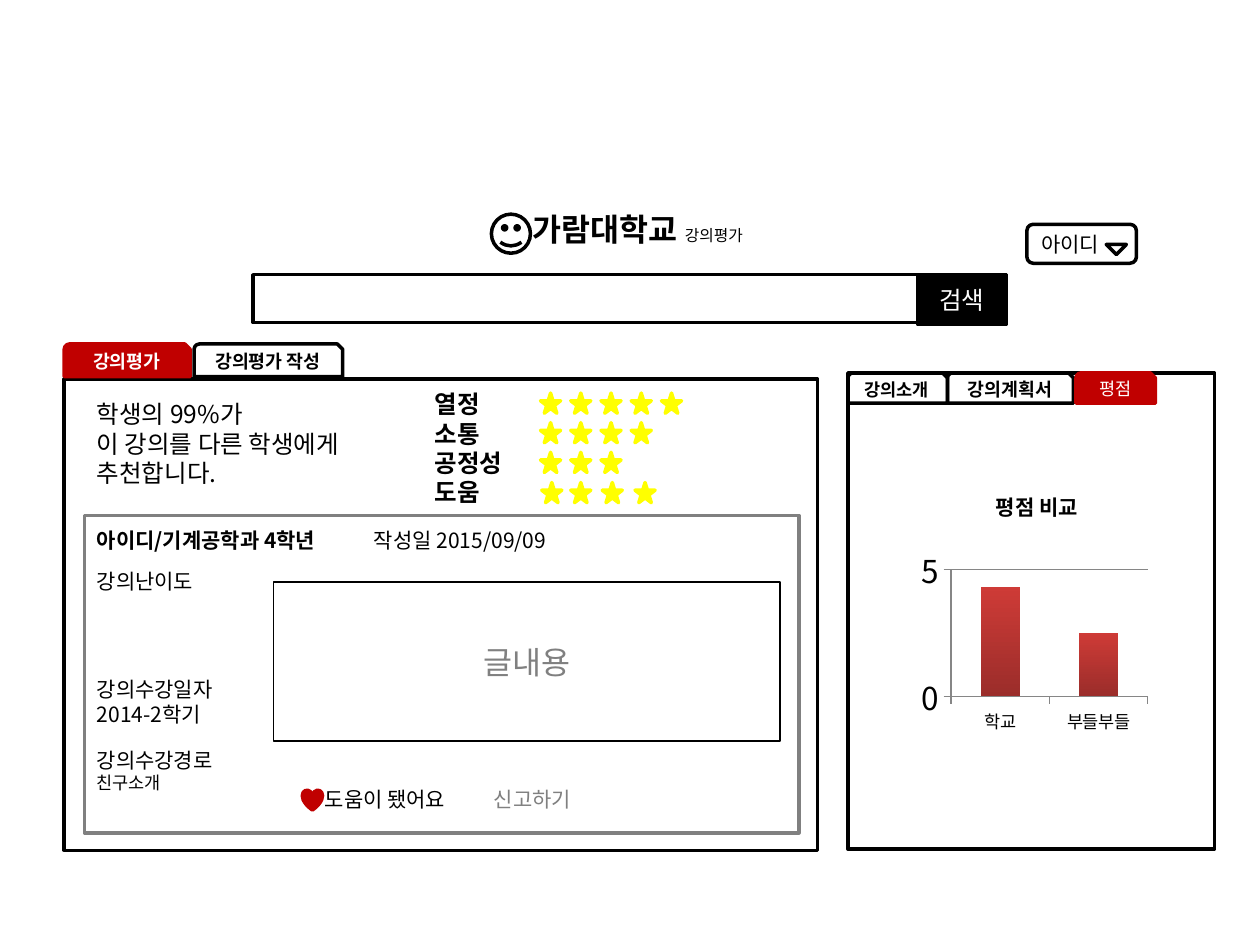
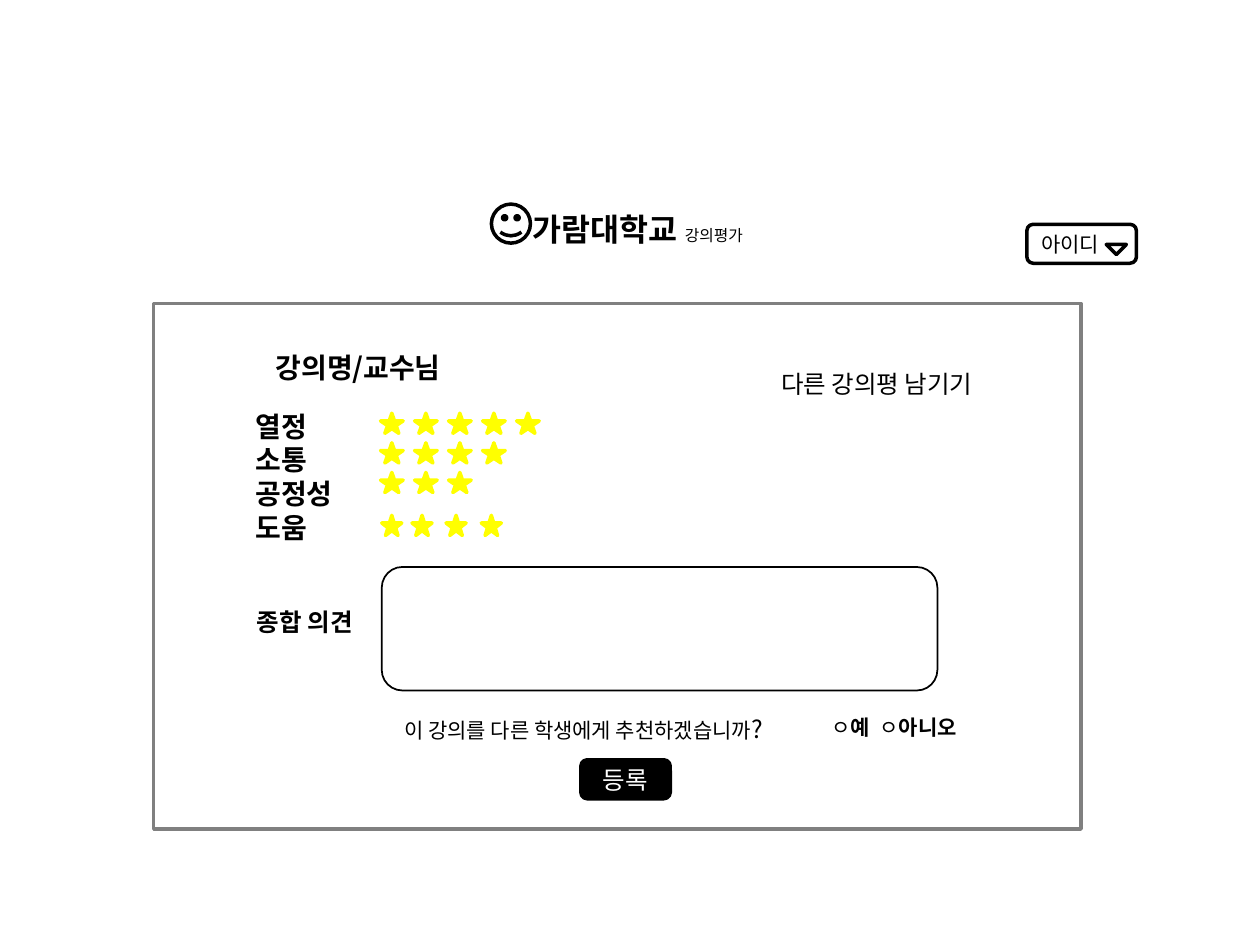
from lxml import etree
from pptx import Presentation
from pptx.chart.data import CategoryChartData
from pptx.dml.color import RGBColor
from pptx.enum.chart import XL_CHART_TYPE, XL_TICK_MARK
from pptx.enum.shapes import MSO_SHAPE
from pptx.enum.text import MSO_ANCHOR, PP_ALIGN
from pptx.oxml.ns import qn
from pptx.util import Inches, Pt

BLACK = RGBColor(0, 0, 0)
WHITE = RGBColor(255, 255, 255)
GREY = RGBColor(0x80, 0x80, 0x80)
RED = RGBColor(0xC0, 0, 0)
YELLOW = RGBColor(255, 255, 0)
AXIS = RGBColor(0x86, 0x86, 0x86)
DARK = RGBColor(0x9B, 0x2D, 0x2A)
LIGHT = RGBColor(0xCE, 0x3B, 0x37)
FONT = "Noto Sans CJK KR"
RECT = MSO_SHAPE.RECTANGLE
ROUND = MSO_SHAPE.ROUNDED_RECTANGLE
TAB = MSO_SHAPE.SNIP_ROUND_RECTANGLE
STAR = MSO_SHAPE.STAR_5_POINT
SMILE = MSO_SHAPE.SMILEY_FACE
HEART = MSO_SHAPE.HEART
ARROW = MSO_SHAPE.FLOWCHART_MERGE
MIDDLE = MSO_ANCHOR.MIDDLE
LEFT, CENTER = PP_ALIGN.LEFT, PP_ALIGN.CENTER
COLUMN = XL_CHART_TYPE.COLUMN_CLUSTERED
OUT = XL_TICK_MARK.OUTSIDE


def draw(slide, kind, at, line=BLACK, fill=None, width=2):
    shape = slide.shapes.add_shape(kind, *map(Inches, at))
    shape.shadow.inherit = False
    shape.line.color.rgb = line
    shape.line.width = Pt(width)
    if fill is None:
        shape.fill.background()
    else:
        shape.fill.solid()
        shape.fill.fore_color.rgb = fill
    return shape


def write(slide, paras, size, color=BLACK, bold=False, at=None, shape=None, align=LEFT):
    if shape is None:
        shape = slide.shapes.add_textbox(*map(Inches, at))
        shape.text_frame.margin_right = 0
    else:
        shape.text_frame.vertical_anchor = MIDDLE
    frame = shape.text_frame
    frame.word_wrap = align == LEFT
    for i, runs in enumerate(paras):
        para = frame.add_paragraph() if i else frame.paragraphs[0]
        para.alignment = align
        if isinstance(runs, str):
            runs = [(runs, size, bold)]
        para.line_spacing = Pt(1.2 * max(run[1] for run in runs))
        for text, points, heavy in runs:
            run = para.add_run()
            run.text = text
            run.font.name = FONT
            run.font.size = Pt(points)
            run.font.bold = heavy
            run.font.color.rgb = color


prs = Presentation()
prs.slide_width, prs.slide_height = Inches(10), Inches(7.5)
home, form = [prs.slides.add_slide(prs.slide_layouts[6]) for _ in range(2)]

for slide, top in ((home, 1.7), (form, 1.62)):
    write(slide, [[("가람대학교 ", 18, True), ("강의평가", 9, False)]], 18,
          at=(4.13, 1.62, 2.06, 0.4))
    write(slide, ["아이디"], 12, shape=draw(slide, ROUND, (8.15, 1.78, 0.87, 0.31)))
    draw(slide, ARROW, (8.78, 1.94, 0.16, 0.08))
    draw(slide, SMILE, (3.9, top, 0.31, 0.31))

draw(home, RECT, (2.01, 2.18, 5.98, 0.38))
button = draw(home, RECT, (7.28, 2.18, 0.71, 0.39), fill=BLACK)
write(home, ["검색"], 14, WHITE, shape=button, align=CENTER)
draw(home, RECT, (6.73, 2.96, 2.91, 3.78))
draw(home, RECT, (0.51, 3.01, 5.98, 3.74))
draw(home, RECT, (0.67, 4.09, 5.67, 2.52), GREY)
note = draw(home, RECT, (2.17, 4.62, 4.02, 1.26), width=1)
write(home, ["글내용"], 18, GREY, shape=note, align=CENTER)

draw(home, TAB, (6.73, 2.96, 0.79, 0.24))
write(home, [" 강의소개"], 10, bold=True, at=(6.73, 2.96, 0.87, 0.27))
for text, at, size, bold, live in (
    ("강의계획서", (7.52, 2.96, 1, 0.24), 10.5, True, False),
    ("평점", (8.54, 2.96, 0.63, 0.24), 10, False, True),
    ("강의평가", (0.51, 2.73, 1, 0.26), 10.5, True, True),
    ("강의평가 작성", (1.54, 2.73, 1.18, 0.26), 10.5, True, False),
):
    tab = draw(home, TAB, at, RED if live else BLACK, RED if live else None)
    write(home, [text], size, WHITE if live else BLACK, bold, shape=tab, align=CENTER)

draw(home, HEART, (2.4, 6.27, 0.16, 0.16), RED, RED)
write(home, ["학생의 99%가 ", "이 강의를 다른 학생에게", "추천합니다."], 14,
      at=(0.67, 3.12, 2.37, 0.81))
write(home, ["아이디/기계공학과 4학년"], 12, bold=True, at=(0.67, 4.14, 2.12, 0.3))
for paras, at, color in (
    (["강의난이도"], (0.67, 4.46, 1.04, 0.3), BLACK),
    (["작성일 2015/09/09"], (2.87, 4.14, 1.64, 0.3), BLACK),
    (["강의수강일자", "2014-2학기"], (0.67, 5.32, 1.21, 0.5), BLACK),
    (["강의수강경로", [("친구소개", 10, False)]], (0.67, 5.88, 1.21, 0.67), BLACK),
    (["도움이 됐어요"], (2.48, 6.19, 1.27, 0.3), BLACK),
    (["신고하기"], (3.82, 6.19, 0.88, 0.3), GREY),
):
    write(home, paras, 12, color, at=at)

data = CategoryChartData()
data.categories = ["학교", "부들부들"]
data.add_series("Series 1", (4.3, 2.5))
chart = home.shapes.add_chart(COLUMN, *map(Inches, (7.13, 3.75, 2.2, 2.14)), data).chart
chart.font.name = FONT
chart.font.size = Pt(18)
chart.font.color.rgb = BLACK
chart.has_legend = False
chart.has_title = True
title = chart.chart_title.text_frame.paragraphs[0].add_run()
title.text = "평점 비교"
title.font.name = FONT
title.font.size = Pt(12)
title.font.bold = True
title.font.color.rgb = BLACK
plot = chart.plots[0]
plot.gap_width = 150
plot.vary_by_categories = False
fill = plot.series[0].format.fill
fill.gradient()
fill.gradient_angle = 90
for stop, color, place in zip(fill.gradient_stops, (DARK, LIGHT), (0, 1)):
    stop.color.rgb = color
    stop.position = place
rate, names = chart.value_axis, chart.category_axis
rate.minimum_scale, rate.maximum_scale, rate.major_unit = 0, 5, 5
rate.has_major_gridlines = True
rate.major_gridlines.format.line.color.rgb = AXIS
names.tick_labels.font.size = Pt(10)
names.tick_labels.font.name = FONT
for axis in (rate, names):
    axis.major_tick_mark = OUT
    axis.format.line.color.rgb = AXIS
area = chart._chartSpace.find(".//" + qn("c:plotArea"))
for old in area.findall(qn("c:layout")):
    area.remove(old)
layout = etree.Element(qn("c:layout"))
area.insert(0, layout)
manual = etree.SubElement(layout, qn("c:manualLayout"))
for tag, val in (("layoutTarget", "inner"), ("xMode", "edge"), ("yMode", "edge"),
                 ("x", "0.19"), ("y", "0.36"), ("w", "0.71"), ("h", "0.47")):
    etree.SubElement(manual, qn("c:" + tag)).set("val", val)

draw(form, RECT, (1.22, 2.41, 7.36, 4.17), GREY, WHITE)
draw(form, ROUND, (3.03, 4.5, 4.41, 0.98), width=1)
send = draw(form, ROUND, (4.61, 6.03, 0.71, 0.31), fill=BLACK)
write(form, ["등록"], 14, WHITE, shape=send, align=CENTER)
write(form, ["강의명/교수님"], 16, bold=True, at=(2.09, 2.73, 1.65, 0.37))
write(form, ["다른 강의평 남기기"], 14, at=(6.1, 2.88, 1.91, 0.34))
write(form, ["종합 의견"], 14, bold=True, at=(1.94, 4.77, 1.06, 0.34))
write(form, [[("이 강의를 다른 학생에게 추천하겠습니까", 12, False), ("?", 14, False)]], 12,
      at=(3.11, 5.62, 3.62, 0.34))
write(form, [[("ㅇ", 12, False), ("예  ", 12, True), ("ㅇ", 12, False), ("아니오", 12, True)]],
      12, at=(6.5, 5.62, 1.33, 0.3))

for slide, at, size, left, top, step, wide, last, base in (
    (home, (3.35, 3.04, 0.79, 1.04), 14, 4.29, 3.12, 0.24, 0.16,
     (4.3, 4.53, 4.78, 5.04), 3.83),
    (form, (1.93, 3.2, 0.91, 1.45), 16, 3.02, 3.28, 0.27, 0.18,
     (3.03, 3.27, 3.54, 3.82), 4.09),
):
    write(slide, ["열정", "소통", "공정성", "도움"], size, bold=True, at=at)
    spots = [(left + step * col, top + 0.235 * row, wide)
             for row, count in enumerate((5, 4, 3)) for col in range(count)]
    spots += [(x, base, 0.16) for x in last]
    for x, y, width in spots:
        draw(slide, STAR, (x, y, width, 0.16), YELLOW, YELLOW)

for root in (home._element, form._element, chart._chartSpace):
    for latin in list(root.iter(qn("a:latin"))):
        asian = etree.Element(qn("a:ea"))
        asian.set("typeface", FONT)
        latin.addnext(asian)

prs.save("out.pptx")
